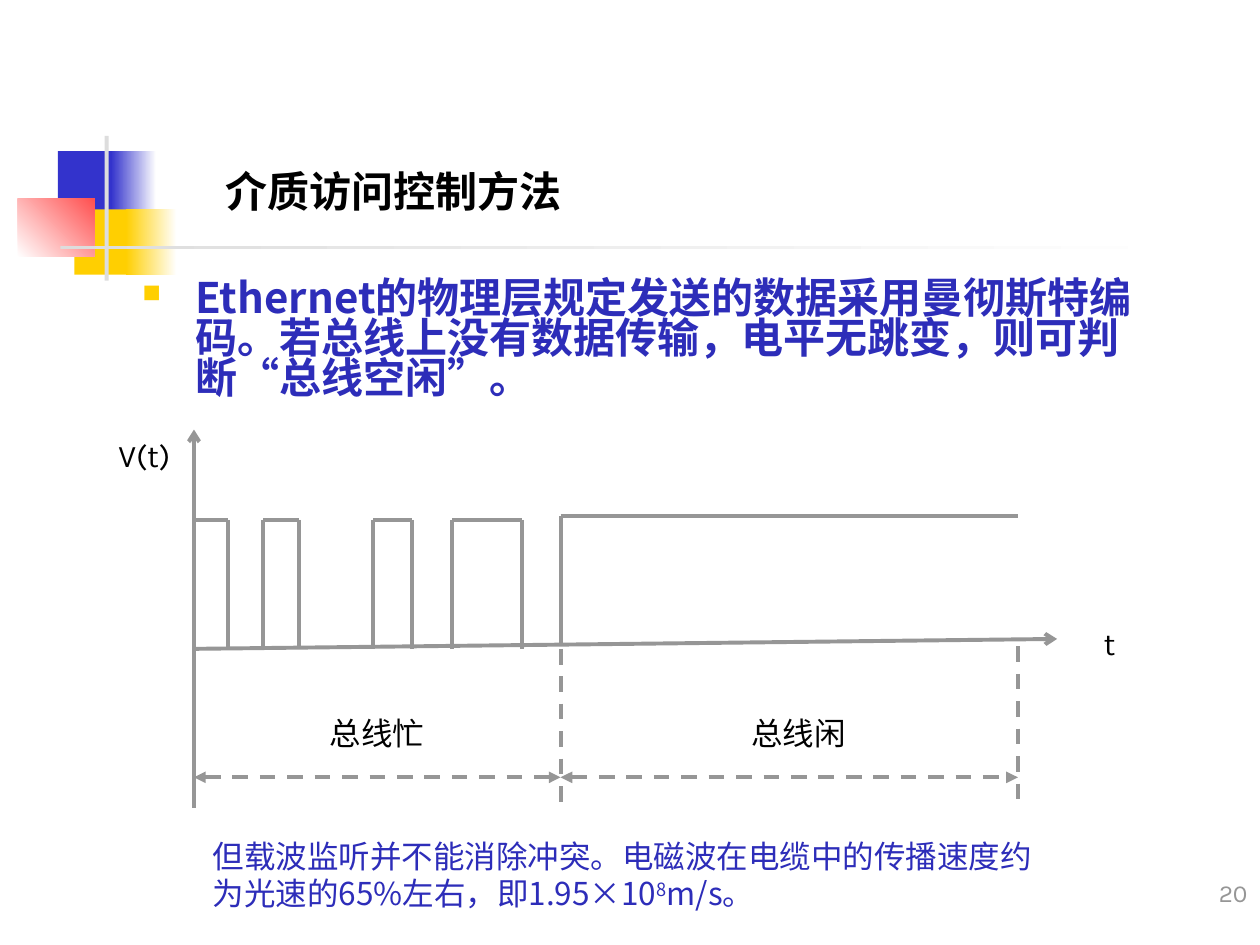
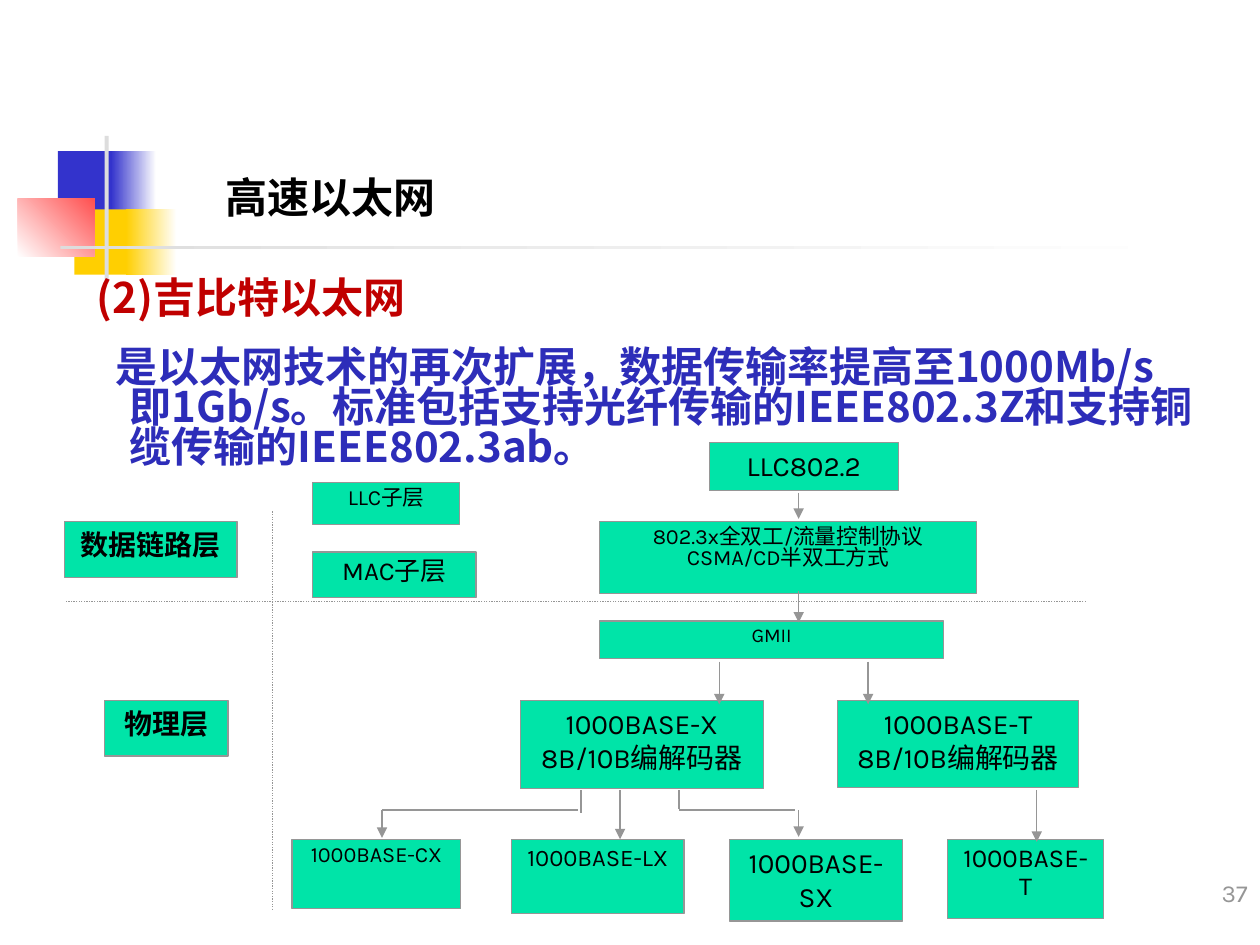
from dataclasses import dataclass

from lxml.etree import SubElement
from pptx import Presentation
from pptx.dml.color import RGBColor
from pptx.enum.dml import MSO_LINE
from pptx.enum.shapes import MSO_CONNECTOR, MSO_SHAPE
from pptx.enum.text import MSO_ANCHOR, PP_ALIGN
from pptx.oxml.ns import qn
from pptx.util import Cm, Pt

BLUE, YELLOW, RED, WHITE = "3333CC", "FFCF01", "FF5050", "FFFFFF"
RULE_GRAY, LINE_GRAY = "DDDDDD", "969696"
BODY_BLUE, HEADING_RED, BLACK, GREEN = "2D2DB9", "C00000", "000000", "00E4A8"
CJK, KARLA, ARIAL = "Noto Sans CJK SC", "Karla", "Arial"


@dataclass(frozen=True)
class Area:
    left: float
    top: float
    width: float
    height: float

    def lengths(self):
        return Cm(self.left), Cm(self.top), Cm(self.width), Cm(self.height)


@dataclass(frozen=True)
class Style:
    size: float
    color: str = BLACK
    font: str = KARLA
    bold: bool = False
    align: PP_ALIGN = PP_ALIGN.LEFT
    spacing: float = 1.0
    margin: float = 0
    indent: float = 0
    bullet: str = ""


@dataclass(frozen=True)
class Band:
    area: Area
    color: str
    end_color: str = ""
    angle: float = 0


@dataclass(frozen=True)
class Box:
    text: str
    area: Area
    size: float = 16
    spacing: float = 1.0
    bold: bool = False


@dataclass(frozen=True)
class Line:
    x1: float
    y1: float
    x2: float
    y2: float
    head: str = ""
    tail: str = ""
    dash: MSO_LINE | None = None


BANDS = [
    Band(Area(1.17, 3.05, 1.22, 1.32), BLUE),
    Band(Area(2.24, 3.05, 0.91, 1.32), BLUE, WHITE),
    Band(Area(1.5, 4.22, 1.17, 1.32), YELLOW),
    Band(Area(2.54, 4.22, 1.02, 1.32), YELLOW, WHITE),
    Band(Area(0.36, 4.01, 1.55, 1.17), WHITE, RED, 45),
    Band(Area(2.11, 2.74, 0.08, 2.92), RULE_GRAY),
    Band(Area(1.22, 4.95, 22.86, 0.08), RULE_GRAY, WHITE),
]
BODY = Style(24, BODY_BLUE, CJK, True, spacing=0.8, margin=1.07, indent=-1.07)
PAGE_NUMBER = Style(14, LINE_GRAY, align=PP_ALIGN.RIGHT)
LABEL = Style(18, align=PP_ALIGN.CENTER)


def rgb(color: str) -> RGBColor:
    return RGBColor.from_string(color)


def style_paragraph(paragraph, style: Style) -> None:
    paragraph.alignment = style.align
    paragraph.line_spacing = style.spacing
    properties = paragraph._p.get_or_add_pPr()
    if style.margin:
        properties.set("marL", str(Cm(style.margin)))
        properties.set("indent", str(Cm(style.indent)))
    if style.bullet:
        bullet_color = SubElement(properties, qn("a:buClr"))
        SubElement(bullet_color, qn("a:srgbClr"), val=YELLOW)
        SubElement(properties, qn("a:buSzPct"), val="60000")
        SubElement(properties, qn("a:buChar"), char=style.bullet)
    font = paragraph.font
    font.size = Pt(style.size)
    font.bold = style.bold
    font.color.rgb = rgb(style.color)
    font.name = style.font
    SubElement(properties.find(qn("a:defRPr")), qn("a:ea"), typeface=CJK)


def write(shape, text: str, style: Style, anchor=MSO_ANCHOR.TOP, wrap: bool = True):
    frame = shape.text_frame
    frame.word_wrap = wrap
    frame.vertical_anchor = anchor
    frame.text = text
    for paragraph in frame.paragraphs:
        style_paragraph(paragraph, style)
    return frame.paragraphs[-1]


def add_text(slide, text: str, area: Area, style: Style, anchor=MSO_ANCHOR.TOP, wrap: bool = True):
    return write(slide.shapes.add_textbox(*area.lengths()), text, style, anchor, wrap)


def add_rectangle(slide, area: Area):
    rectangle = slide.shapes.add_shape(MSO_SHAPE.RECTANGLE, *area.lengths())
    rectangle.shadow.inherit = False
    return rectangle


def add_band(slide, band: Band) -> None:
    rectangle = add_rectangle(slide, band.area)
    rectangle.line.fill.background()
    fill = rectangle.fill
    if band.end_color:
        fill.gradient()
        fill.gradient_angle = band.angle
        for stop, color in zip(fill.gradient_stops, (band.color, band.end_color)):
            stop.color.rgb = rgb(color)
    else:
        fill.solid()
        fill.fore_color.rgb = rgb(band.color)


def add_box(slide, box: Box) -> None:
    rectangle = add_rectangle(slide, box.area)
    rectangle.fill.solid()
    rectangle.fill.fore_color.rgb = rgb(GREEN)
    rectangle.line.color.rgb = rgb(LINE_GRAY)
    rectangle.line.width = Pt(0.75)
    style = Style(box.size, bold=box.bold, align=PP_ALIGN.CENTER, spacing=box.spacing)
    write(rectangle, box.text, style)


def add_line(slide, line: Line, width: float) -> None:
    connector = slide.shapes.add_connector(
        MSO_CONNECTOR.STRAIGHT, Cm(line.x1), Cm(line.y1), Cm(line.x2), Cm(line.y2)
    )
    connector.line.color.rgb = rgb(LINE_GRAY)
    connector.line.width = Pt(width)
    if line.dash:
        connector.line.dash_style = line.dash
    outline = connector.line._get_or_add_ln()
    for tag, kind in (("a:headEnd", line.head), ("a:tailEnd", line.tail)):
        if kind:
            SubElement(outline, qn(tag), type=kind)
    SubElement(connector._element.spPr, qn("a:effectLst"))


def start_slide(deck, title: str, title_area: Area, title_font: str, number: int):
    slide = deck.slides.add_slide(deck.slide_layouts[6])
    for band in BANDS:
        add_band(slide, band)
    add_text(slide, title, title_area, Style(24, font=title_font, bold=True), MSO_ANCHOR.BOTTOM)
    add_text(slide, str(number), Area(20.12, 17.15, 5.28, 1.27), PAGE_NUMBER, MSO_ANCHOR.BOTTOM)
    return slide


def signal_lines() -> list[Line]:
    origin, busy_end, idle_end = 3.91, 11.3, 20.52
    low, high, idle_high, span_y = 13.08, 10.48, 10.41, 15.67
    pulses = [(origin, 4.6), (5.31, 6.02), (7.52, 8.31), (9.12, 10.52)]
    lines = [
        Line(origin, 16.28, origin, 8.66, tail="arrow"),
        Line(origin, low, 21.31, 12.88, tail="arrow"),
    ]
    for rise, fall in pulses:
        if rise != origin:
            lines.append(Line(rise, low, rise, high))
        lines += [Line(rise, high, fall, high), Line(fall, high, fall, low)]
    lines += [
        Line(busy_end, idle_high, busy_end, 13.03),
        Line(busy_end, idle_high, idle_end, idle_high),
    ]
    for x, top in ((busy_end, low), (idle_end, 13.03)):
        lines.append(Line(x, top, x, top + 3.2, dash=MSO_LINE.DASH))
    for start, end in ((origin, busy_end), (busy_end, idle_end)):
        lines.append(Line(start, span_y, end, span_y, "triangle", "triangle", MSO_LINE.DASH))
    return lines


def build_access_control(deck) -> None:
    slide = start_slide(deck, "介质访问控制方法", Area(4.29, 2.13, 17.81, 2.34), ARIAL, 20)
    add_text(
        slide,
        "Ethernet的物理层规定发送的数据采用曼彻斯特编码。若总线上没有数据传输，电平无跳变，则可判断“总线空闲”。",
        Area(2.62, 5.54, 20.45, 2.79),
        Style(24, BODY_BLUE, CJK, True, spacing=0.8, margin=1.07, indent=-1.07, bullet="■"),
    )
    note = add_text(
        slide,
        "但载波监听并不能消除冲突。电磁波在电缆中的传播速度约为光速的65%左右，即1.95×10",
        Area(4.04, 16.74, 17.42, 1.78),
        Style(18, BODY_BLUE, CJK),
    )
    exponent = note.add_run()
    exponent.text = "8"
    exponent.font._element.set("baseline", "30000")
    note.add_run().text = "m/s。"
    for line in signal_lines():
        add_line(slide, line, 2.25)
    for text, left, top, width in (
        ("V(t)", 2.11, 8.66, 1.6),
        ("t", 21.67, 12.45, 1.4),
        ("总线忙", 6.1, 14.27, 3),
        ("总线闲", 14.6, 14.27, 3),
    ):
        add_text(slide, text, Area(left, top, width, 1.02), LABEL, wrap=False)


STACK_BOXES = [
    Box("MAC子层", Area(6.3, 11.13, 3.3, 0.91), 14.8, 0.9),
    Box("LLC802.2", Area(14.3, 8.92, 3.81, 0.97)),
    Box("802.3x全双工/流量控制协议\nCSMA/CD半双工方式", Area(12.09, 10.52, 7.59, 1.45), 12.4, 0.8),
    Box("LLC子层", Area(6.3, 9.73, 2.97, 0.84), 12.4, 0.8),
    Box("GMII", Area(12.09, 12.52, 6.93, 0.76), 11.2, 0.8),
    Box("数据链路层", Area(1.3, 10.52, 3.48, 1.12), bold=True),
    Box("物理层", Area(2.11, 14.12, 2.49, 1.12), bold=True),
    Box("1000BASE-CX", Area(5.89, 16.92, 3.4, 1.4), 12.4, 0.8),
    Box("1000BASE-LX", Area(10.31, 16.92, 3.48, 1.5), 13.6, 0.9),
    Box("1000BASE-SX", Area(14.71, 16.92, 3.48, 1.65)),
    Box("1000BASE-T", Area(19.1, 16.92, 3.15, 1.6), 14.8, 0.9),
    Box("1000BASE-X\n8B/10B编解码器", Area(10.49, 14.12, 4.9, 1.78)),
    Box("1000BASE-T\n8B/10B编解码器", Area(16.89, 14.12, 4.85, 1.75)),
]
DOWN_ARROWS = [
    (16.1, 9.93, 10.46),
    (16.1, 11.91, 12.55),
    (14.5, 13.34, 14.2),
    (17.5, 13.34, 14.2),
    (20.9, 15.93, 16.97),
    (12.5, 15.93, 16.92),
    (16.1, 16.33, 16.87),
    (7.7, 16.33, 16.89),
]
STACK_LINES = [
    Line(5.49, 10.31, 5.49, 18.34, dash=MSO_LINE.ROUND_DOT),
    Line(21.89, 12.12, 1.3, 12.12, dash=MSO_LINE.ROUND_DOT),
    Line(13.69, 15.93, 13.69, 16.31),
    Line(13.69, 16.33, 16.03, 16.33),
    Line(7.7, 16.33, 11.66, 16.33),
    Line(11.71, 16.38, 11.71, 15.93),
] + [Line(x, start, x, end, tail="triangle") for x, start, end in DOWN_ARROWS]


def build_gigabit(deck) -> None:
    slide = start_slide(deck, "高速以太网", Area(4.29, 1.93, 19, 2.67), CJK, 37)
    add_text(
        slide,
        "(2)吉比特以太网",
        Area(1.7, 5.54, 21.59, 1.19),
        Style(24, HEADING_RED, CJK, True, spacing=0.8, margin=1.07, indent=-1.07),
    )
    add_text(
        slide,
        "是以太网技术的再次扩展，数据传输率提高至1000Mb/s即1Gb/s。标准包括支持光纤传输的IEEE802.3Z和支持铜缆传输的IEEE802.3ab。",
        Area(1.3, 6.93, 23.02, 2.79),
        Style(24, BODY_BLUE, CJK, True, spacing=0.8, margin=1.07, indent=-0.3),
    )
    for box in STACK_BOXES:
        add_box(slide, box)
    for line in STACK_LINES:
        add_line(slide, line, 0.75)


def main() -> None:
    deck = Presentation()
    deck.slide_width, deck.slide_height = Cm(25.4), Cm(19.05)
    build_access_control(deck)
    build_gigabit(deck)
    deck.save("out.pptx")


if __name__ == "__main__":
    main()
